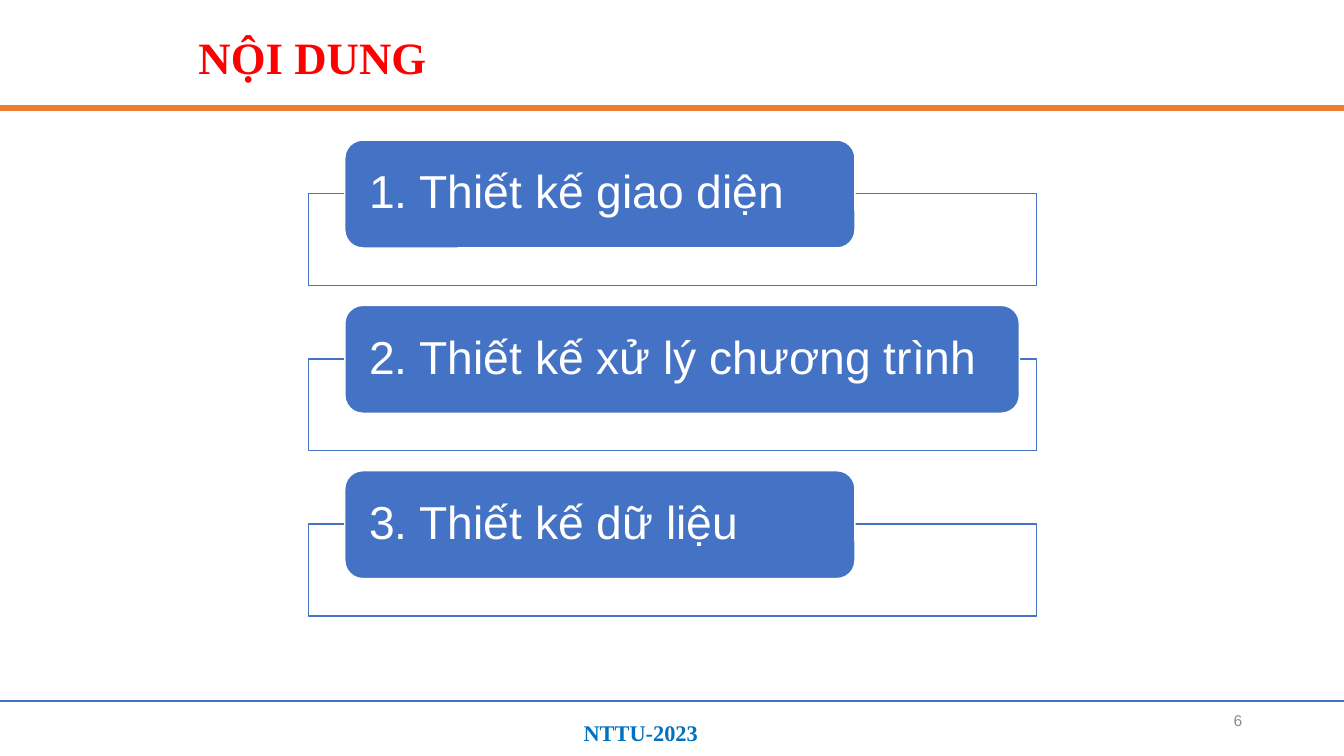
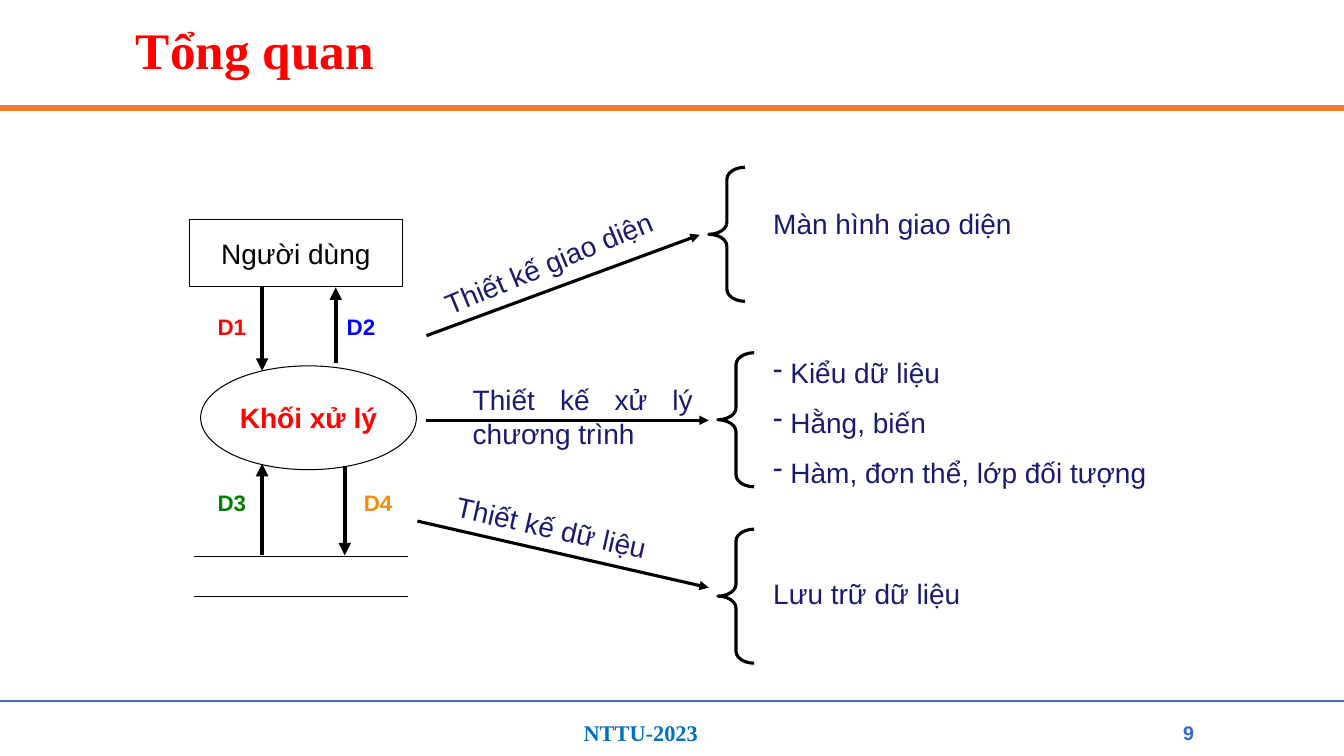
from lxml import etree
from pptx import Presentation
from pptx.dml.color import RGBColor
from pptx.enum.shapes import MSO_CONNECTOR, MSO_SHAPE
from pptx.enum.text import MSO_ANCHOR, PP_ALIGN
from pptx.oxml.ns import qn
from pptx.util import Inches, Pt

STRAIGHT = MSO_CONNECTOR.STRAIGHT
RECT, ROUND_RECT = MSO_SHAPE.RECTANGLE, MSO_SHAPE.ROUNDED_RECTANGLE
OVAL, LEFT_BRACE = MSO_SHAPE.OVAL, MSO_SHAPE.LEFT_BRACE
TOP, MIDDLE = MSO_ANCHOR.TOP, MSO_ANCHOR.MIDDLE
LEFT, CENTER, RIGHT, JUSTIFY = PP_ALIGN.LEFT, PP_ALIGN.CENTER, PP_ALIGN.RIGHT, PP_ALIGN.JUSTIFY

WHITE = RGBColor(0xFF, 0xFF, 0xFF)
BLACK = RGBColor(0x00, 0x00, 0x00)
BLUE = RGBColor(0x44, 0x72, 0xC4)
ORANGE = RGBColor(0xED, 0x7D, 0x31)
TITLE_RED = RGBColor(0xFF, 0x00, 0x00)
FOOTER_BLUE = RGBColor(0x00, 0x70, 0xC0)
GREY = RGBColor(0x8C, 0x8C, 0x8C)
PAGE_BLUE = RGBColor(0x31, 0x67, 0xD3)
NAVY = RGBColor(0x1A, 0x1A, 0x70)
RED = RGBColor(0xFF, 0x03, 0x03)
PURE_BLUE = RGBColor(0x00, 0x00, 0xFF)
GREEN = RGBColor(0x00, 0x80, 0x00)
AMBER = RGBColor(0xF4, 0x8D, 0x10)

SANS, SERIF = "Arial", "Times New Roman"
SLIDE_W, SLIDE_H = 13.33, 7.5


def write(tf, lines, size, color, bold=False, font=SANS, align=LEFT,
          anchor=TOP, wrap=True, spacing=None, bullet=None):
    """Write one paragraph per line into a text frame."""
    tf.word_wrap = wrap
    tf.vertical_anchor = anchor
    for i, line in enumerate(lines):
        p = tf.paragraphs[0] if i == 0 else tf.add_paragraph()
        p.alignment = align
        if spacing:
            p.line_spacing = spacing
        if i:
            p.space_before = Pt(11.5)
        if bullet:
            pPr = p._p.get_or_add_pPr()
            pPr.set("marL", str(Inches(0.17)))
            pPr.set("indent", str(-Inches(0.17)))
            etree.SubElement(pPr, qn("a:buChar")).set("char", bullet)
        r = p.add_run()
        r.text = line
        r.font.name, r.font.size, r.font.bold = font, Pt(size), bold
        r.font.color.rgb = color


def add_text(s, box, lines, size, color, rotation=0, **style):
    """Add a text box."""
    sp = s.shapes.add_textbox(*map(Inches, box))
    sp.rotation = rotation
    write(sp.text_frame, lines, size, color, **style)


def add_shape(s, kind, box, line, width, fill=None):
    """Add a preset shape with a plain outline and optional fill."""
    sp = s.shapes.add_shape(kind, *map(Inches, box))
    sp.shadow.inherit = False
    if fill is None:
        sp.fill.background()
    else:
        sp.fill.solid()
        sp.fill.fore_color.rgb = fill
    sp.line.color.rgb = line
    sp.line.width = Pt(width)
    return sp


def add_line(s, start, end, color, width, arrow=False):
    """Add a straight line, with an arrowhead at its end if asked."""
    c = s.shapes.add_connector(STRAIGHT, *map(Inches, (*start, *end)))
    c.line.color.rgb = color
    c.line.width = Pt(width)
    if arrow:
        etree.SubElement(c.line._get_or_add_ln(), qn("a:tailEnd")).set("type", "triangle")
    etree.SubElement(c._element.spPr, qn("a:effectLst"))


def add_frame(prs, title, title_box, title_size):
    """Add a blank slide with the shared title, bands and footer."""
    s = prs.slides.add_slide(prs.slide_layouts[6])
    for y, color, width in ((1.07, ORANGE, 4.5), (6.95, BLUE, 1.5)):
        add_line(s, (0, y), (SLIDE_W, y), color, width)
    add_text(s, (5.69, 7.09, 1.78, 0.37), ["NTTU-2023"], 16, FOOTER_BLUE,
             bold=True, font=SERIF)
    add_text(s, title_box, [title], title_size, TITLE_RED, bold=True,
             font=SERIF, anchor=MIDDLE, spacing=0.9)
    return s


def add_agenda_item(s, box, label, pill_w):
    """Add an outlined box with a rounded label over its top edge."""
    x, y, w, h = box
    add_shape(s, RECT, (x, y + 0.53, w, h - 0.53), BLUE, 1, WHITE)
    pill = add_shape(s, ROUND_RECT, (x + 0.36, y, pill_w, 1.07), WHITE, 1, BLUE)
    tf = pill.text_frame
    tf.margin_left = tf.margin_right = Inches(0.19)
    tf.margin_top = tf.margin_bottom = 0
    write(tf, [label], 33, WHITE, anchor=MIDDLE, spacing=0.9)


def add_data_flow(s, x, y):
    """Add the user, the processing block and the store with their flows."""
    user = add_shape(s, RECT, (x, y, 2.11, 0.66), BLACK, 0.75)
    write(user.text_frame, ["Người dùng"], 20, BLACK, align=CENTER,
          anchor=MIDDLE, wrap=False)
    block = add_shape(s, OVAL, (x + 0.11, y + 1.45, 2.14, 1.03), BLACK, 0.75)
    write(block.text_frame, ["Khối xử lý"], 20, RED, bold=True, align=CENTER,
          anchor=MIDDLE, wrap=False)
    for dy in (3.34, 3.74):
        add_line(s, (x + 0.04, y + dy), (x + 2.17, y + dy), BLACK, 0.75)
    flows = (
        ("D1", RED, 0.72, 0.67, 1.5, 0.18, 0.88),
        ("D2", PURE_BLUE, 1.45, 1.42, 0.67, 1.46, 0.88),
        ("D3", GREEN, 0.72, 3.33, 2.42, 0.18, 2.62),
        ("D4", AMBER, 1.54, 2.44, 3.33, 1.63, 2.62),
    )
    for label, color, dx, start, end, label_x, label_y in flows:
        add_line(s, (x + dx, y + start), (x + dx, y + end), BLACK, 3, arrow=True)
        add_text(s, (x + label_x, y + label_y, 0.49, 0.37), [label], 16, color,
                 bold=True, wrap=False)


def add_branch(s, brace_x, mid_y, start, label, label_box, details, details_box,
               rise=0, rotation=0, align=LEFT, bullet=None):
    """Add a labelled arrow to a brace and the details beside it."""
    add_line(s, start, (brace_x - 0.09, mid_y - rise), BLACK, 2.25, arrow=True)
    add_text(s, label_box, [label], 20, NAVY, rotation=rotation, align=align)
    brace = add_shape(s, LEFT_BRACE, (brace_x, mid_y - 0.67, 0.36, 1.33), BLACK, 2.25)
    brace.adjustments[0], brace.adjustments[1] = 0.33, 0.5
    add_text(s, details_box, details, 20, NAVY, bullet=bullet)


def build_agenda(prs):
    """Build the contents slide."""
    s = add_frame(prs, "NỘI DUNG", (1.87, 0.3, 6.99, 0.58), 32)
    add_text(s, (9.42, 6.95, 3, 0.4), ["6"], 11.1, GREY, align=RIGHT, anchor=MIDDLE)
    items = (("1. Thiết kế giao diện", 5.06),
             ("2. Thiết kế xử lý chương trình", 6.69),
             ("3. Thiết kế dữ liệu", 5.06))
    for i, (label, pill_w) in enumerate(items):
        add_agenda_item(s, (3.06, 1.39 + 1.64 * i, 7.22, 1.44), label, pill_w)


def build_overview(prs):
    """Build the overview diagram slide."""
    s = add_frame(prs, "Tổng quan", (1.25, 0.23, 10.83, 0.58), 36.6)
    add_text(s, (11.56, 7.09, 0.46, 0.36), ["9"], 14, PAGE_BLUE, bold=True,
             align=CENTER, anchor=MIDDLE)
    add_data_flow(s, 1.88, 2.18)
    add_branch(s, 7.03, 2.33, (4.23, 3.33),
               "Thiết kế giao diện", (4.23, 2.33, 2.71, 0.43),
               ["Màn hình giao diện"], (7.57, 2, 2.98, 0.43), rotation=337.5)
    add_branch(s, 7.12, 4.17, (4.23, 4.17),
               "Thiết kế xử lý chương trình", (4.59, 3.75, 2.38, 0.77),
               ["Kiểu dữ liệu", "Hằng, biến", "Hàm, đơn thể, lớp đối tượng"],
               (7.57, 3.48, 4.42, 1.43), align=JUSTIFY, bullet="-")
    add_branch(s, 7.12, 5.92, (4.14, 5.17),
               "Thiết kế dữ liệu", (4.41, 5.04, 2.35, 0.43),
               ["Lưu trữ dữ liệu"], (7.57, 5.67, 2.98, 0.43), rise=0.09, rotation=12.7)


def main():
    """Build and save the presentation."""
    prs = Presentation()
    prs.slide_width, prs.slide_height = Inches(SLIDE_W), Inches(SLIDE_H)
    build_agenda(prs)
    build_overview(prs)
    prs.save("out.pptx")


if __name__ == "__main__":
    main()
